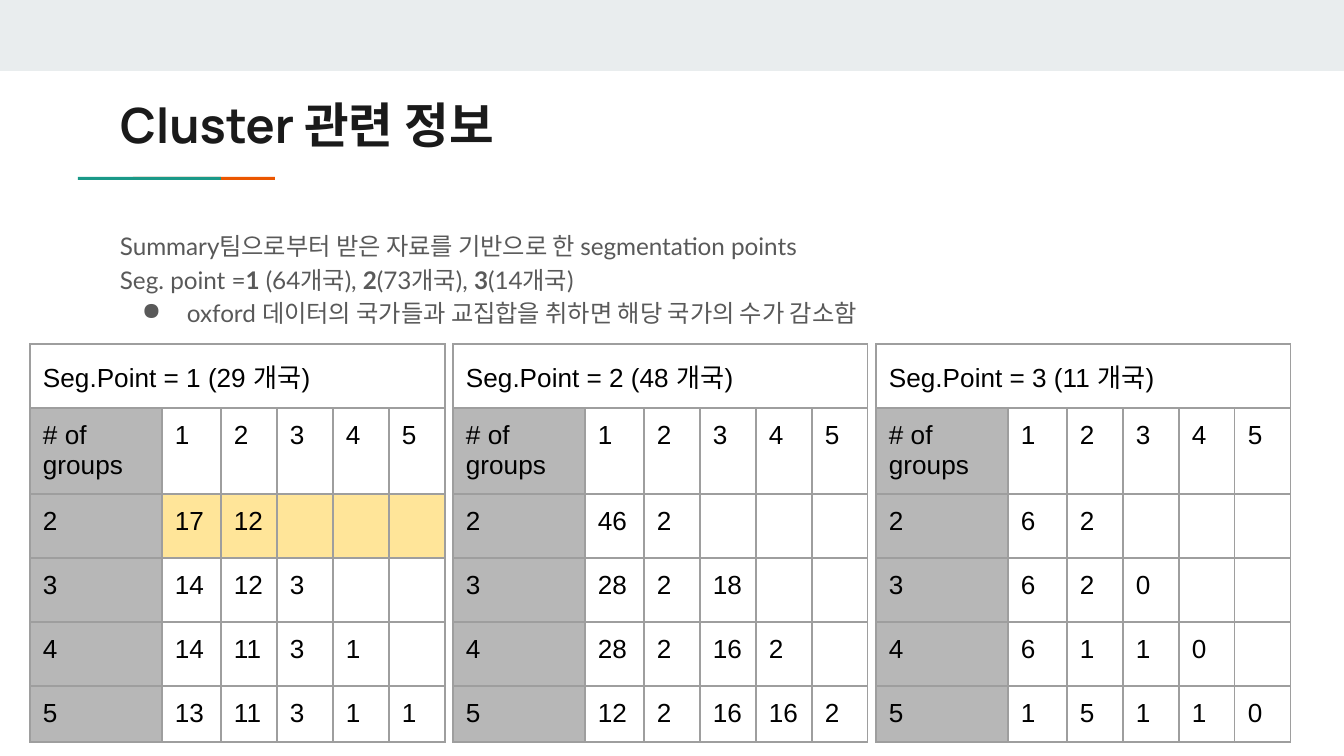
from lxml.etree import SubElement
from pptx import Presentation
from pptx.dml.color import RGBColor
from pptx.enum.shapes import MSO_SHAPE
from pptx.enum.text import MSO_ANCHOR, MSO_AUTO_SIZE, PP_ALIGN
from pptx.oxml.ns import qn
from pptx.util import Emu, Pt

BAND = RGBColor(0xE9, 0xED, 0xEE)
ORANGE = RGBColor(0xEB, 0x56, 0x00)
TEAL = RGBColor(0x1A, 0x99, 0x88)
INK = RGBColor(0x1A, 0x1A, 0x1A)
BODY = RGBColor(0x59, 0x59, 0x59)
BLACK = RGBColor(0x00, 0x00, 0x00)
LABEL = RGBColor(0xB7, 0xB7, 0xB7)
HIGHLIGHT = RGBColor(0xFF, 0xE5, 0x99)
BORDER = "9E9E9E"

TITLE = "Cluster 관련 정보"
SUMMARY = [
    [("Summary팀으로부터 받은 자료를 기반으로 한 segmentation points", False)],
    [("Seg. point =", False), ("1", True), (" (64개국), ", False), ("2", True),
     ("(73개국), ", False), ("3", True), ("(14개국)", False)],
    [("oxford 데이터의 국가들과 교집합을 취하면 해당 국가의 수가 감소함", False)],
]
HEADINGS = ["# of groups", 1, 2, 3, 4, 5]
TABLES = [
    ("Seg.Point = 1 (29 개국)", [(17, 12), (14, 12, 3), (14, 11, 3, 1), (13, 11, 3, 1, 1)]),
    ("Seg.Point = 2 (48 개국)", [(46, 2), (28, 2, 18), (28, 2, 16, 2), (12, 2, 16, 16, 2)]),
    ("Seg.Point = 3 (11 개국)", [(6, 2), (6, 2, 0), (6, 1, 1, 0), (1, 5, 1, 1, 0)]),
]
HIGHLIGHTED = (0, 2)

DECORATIONS = [
    ((0, 0, 1344, 71), BAND),
    ((133, 177, 142, 3), ORANGE),
    ((78, 177, 143, 3), TEAL),
]
COLUMN_WIDTHS = [132, 59, 56, 56, 56, 56]
ROW_HEIGHTS = [64, 86, 64, 64, 64, 56]
TABLE_LEFT, TABLE_TOP, TABLE_STEP = 30, 344, 423
MARGIN = 13


def px(value):
    return Emu(round(value * 914400 / 134.4))


def style(span, name, size, color, bold=False):
    span.font.name = name
    span.font.size = Pt(size)
    span.font.color.rgb = color
    span.font.bold = bold


def set_margins(target):
    target.margin_left = target.margin_right = px(MARGIN)
    target.margin_top = target.margin_bottom = px(MARGIN)


def set_up_frame(frame):
    set_margins(frame)
    frame.word_wrap = True
    frame.auto_size = MSO_AUTO_SIZE.NONE
    frame.vertical_anchor = MSO_ANCHOR.TOP


def add_decoration(page, place, color):
    box = page.shapes.add_shape(MSO_SHAPE.RECTANGLE, *map(px, place))
    box.shadow.inherit = False
    box.fill.solid()
    box.fill.fore_color.rgb = color
    box.line.fill.background()


def add_title(page):
    box = page.shapes.title
    box.left, box.top, box.width, box.height = map(px, (107, 82, 1130, 79))
    set_up_frame(box.text_frame)
    box.text_frame.text = TITLE
    para = box.text_frame.paragraphs[0]
    para.alignment = PP_ALIGN.LEFT
    style(para.runs[0], "Manrope", 26, INK, True)


def add_summary(page):
    frame = page.shapes.add_textbox(*map(px, (107, 214, 1130, 425))).text_frame
    set_up_frame(frame)
    for index, pieces in enumerate(SUMMARY):
        para = frame.add_paragraph() if index else frame.paragraphs[0]
        para.line_spacing = 1.15
        for text, bold in pieces:
            span = para.add_run()
            span.text = text
            style(span, "Lato", 13, BODY, bold)
    properties = para._p.get_or_add_pPr()
    properties.set("marL", str(px(67)))
    properties.set("indent", str(px(-45)))
    bullet_color = SubElement(properties, qn("a:buClr"))
    SubElement(bullet_color, qn("a:srgbClr"), val=str(BODY))
    SubElement(properties, qn("a:buChar"), char="●")


def add_borders(cell):
    properties = cell._tc.get_or_add_tcPr()
    for side in ("lnL", "lnR", "lnT", "lnB"):
        line = SubElement(properties, qn("a:" + side), w=str(Pt(0.75)))
        fill = SubElement(line, qn("a:solidFill"))
        SubElement(fill, qn("a:srgbClr"), val=BORDER)


def format_cell(cell, value, color):
    set_margins(cell)
    add_borders(cell)
    if color is None:
        cell.fill.background()
    else:
        cell.fill.solid()
        cell.fill.fore_color.rgb = color
    cell.text_frame.text = str(value)
    para = cell.text_frame.paragraphs[0]
    for span in para.runs:
        style(span, "Arial", 14, BLACK)
    if not para.runs:
        SubElement(para._p, qn("a:endParaRPr"), sz="1400")


def add_group_table(page, index, heading, counts):
    rows = [[heading], HEADINGS]
    rows += [[groups, *sizes] for groups, sizes in enumerate(counts, 2)]
    place = (TABLE_LEFT + index * TABLE_STEP, TABLE_TOP, sum(COLUMN_WIDTHS), sum(ROW_HEIGHTS))
    table = page.shapes.add_table(len(rows), len(HEADINGS), *map(px, place)).table
    table.first_row = table.horz_banding = False
    for column, width in zip(table.columns, COLUMN_WIDTHS):
        column.width = px(width)
    for row, height in zip(table.rows, ROW_HEIGHTS):
        row.height = px(height)
    for r, values in enumerate(rows):
        for c in range(len(HEADINGS)):
            color = None
            if r and c == 0:
                color = LABEL
            elif (index, r) == HIGHLIGHTED:
                color = HIGHLIGHT
            format_cell(table.cell(r, c), values[c] if c < len(values) else "", color)
    table.cell(0, 0).merge(table.cell(0, len(HEADINGS) - 1))


def main():
    deck = Presentation()
    deck.slide_width, deck.slide_height = px(1344), px(756)
    page = deck.slides.add_slide(deck.slide_layouts[5])
    for place, color in DECORATIONS:
        add_decoration(page, place, color)
    add_title(page)
    add_summary(page)
    for index, (heading, counts) in enumerate(TABLES):
        add_group_table(page, index, heading, counts)
    deck.save("out.pptx")


if __name__ == "__main__":
    main()
